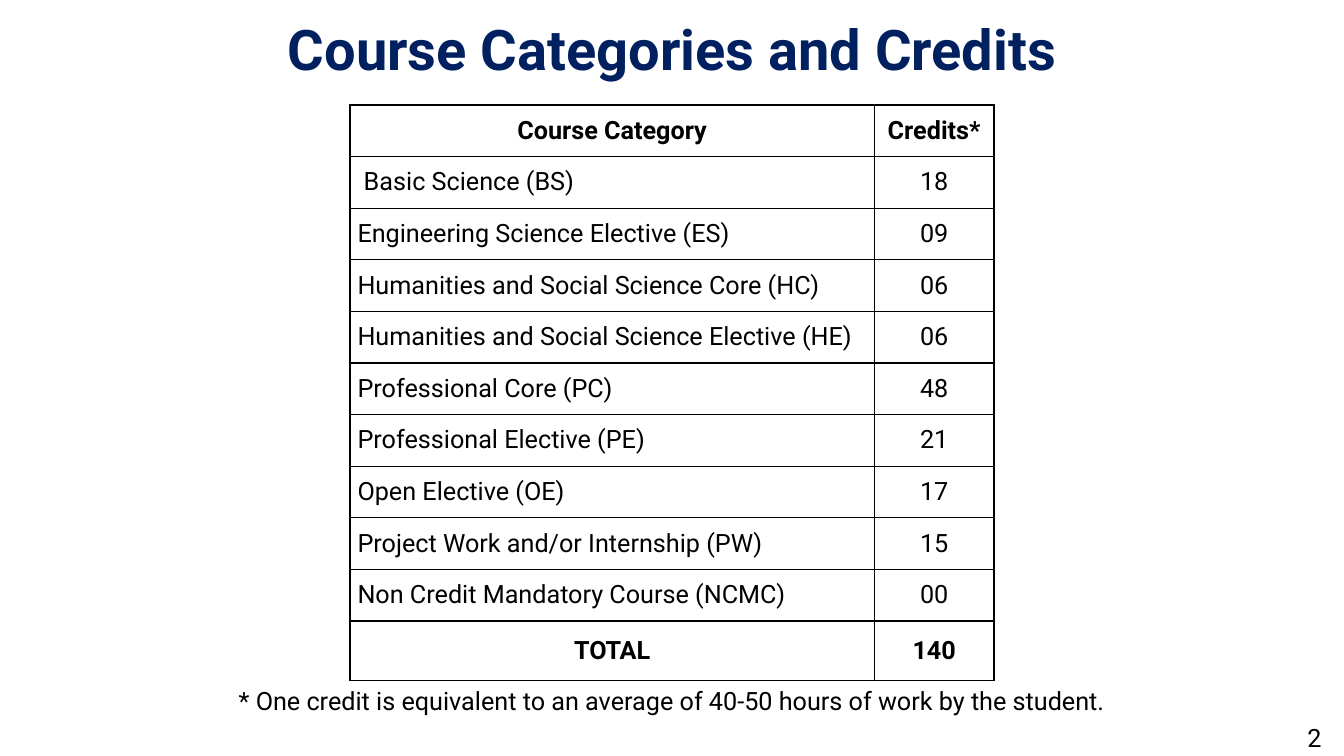
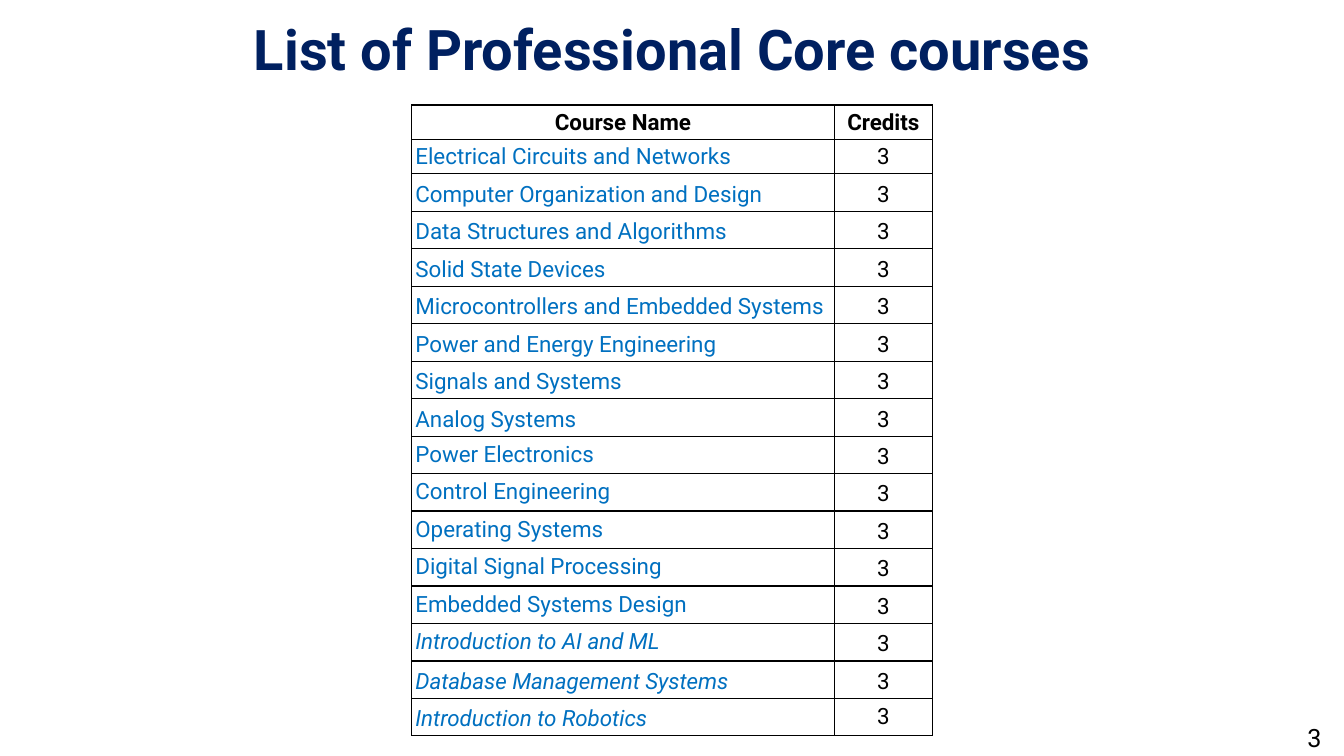
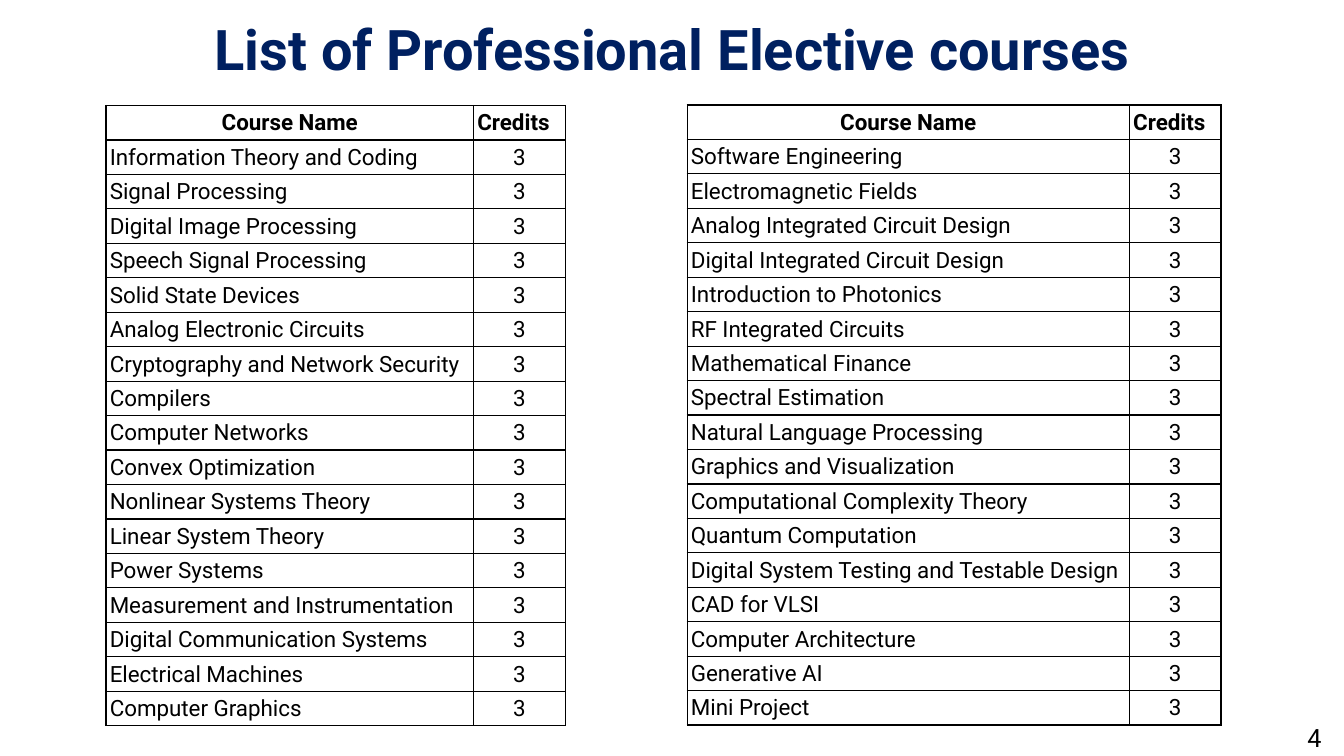
import dataclasses

import pptx
import pptx.dml.color
import pptx.enum.text
import pptx.oxml
import pptx.oxml.ns
import pptx.util

Pt = pptx.util.Pt
Align = pptx.enum.text.PP_ALIGN
Anchor = pptx.enum.text.MSO_ANCHOR


@dataclasses.dataclass(frozen=True)
class Theme:
    font: str = "Roboto"
    title_colour: str = "002060"
    text_colour: str = "000000"
    core_colour: str = "0070C0"
    border_width: float = 1
    title_size: float = 40
    body_size: float = 18
    list_size: float = 16
    page_width: float = 960
    page_height: float = 540
    table_top: float = 75


THEME = Theme()


@dataclasses.dataclass(frozen=True)
class Cell:
    text: str
    align: Align = Align.LEFT
    anchor: Anchor = Anchor.BOTTOM
    bold: bool = False
    italic: bool = False
    colour: str = THEME.text_colour


CATEGORIES = [
    (" Basic Science (BS)", "18"),
    ("Engineering Science Elective (ES)", "09"),
    ("Humanities and Social Science Core (HC)", "06"),
    ("Humanities and Social Science Elective (HE)", "06"),
    ("Professional Core (PC)", "48"),
    ("Professional Elective (PE)", "21"),
    ("Open Elective (OE)", "17"),
    ("Project Work and/or Internship (PW)", "15"),
    ("Non Credit Mandatory Course (NCMC)", "00"),
]

CORE_BOTTOM = [
    "Electrical Circuits and Networks",
    "Computer Organization and Design",
    "Data Structures and Algorithms",
    "Solid State Devices",
    "Microcontrollers and Embedded Systems",
    "Power and Energy Engineering",
    "Signals and Systems",
    "Analog Systems",
]
CORE_MIDDLE = [
    "Power Electronics",
    "Control Engineering",
    "Operating Systems",
    "Digital Signal Processing",
    "Embedded Systems Design",
]
CORE_ITALIC = [
    ("Introduction to AI and ML", Anchor.MIDDLE, Anchor.BOTTOM),
    ("Database Management Systems", Anchor.BOTTOM, Anchor.BOTTOM),
    ("Introduction to Robotics", Anchor.BOTTOM, Anchor.MIDDLE),
]

ELECTIVES_LEFT = [
    "Information Theory and Coding",
    "Signal Processing",
    "Digital Image Processing",
    "Speech Signal Processing",
    "Solid State Devices",
    "Analog Electronic Circuits",
    "Cryptography and Network Security",
    "Compilers",
    "Computer Networks",
    "Convex Optimization",
    "Nonlinear Systems Theory",
    "Linear System Theory",
    "Power Systems",
    "Measurement and Instrumentation",
    "Digital Communication Systems",
    "Electrical Machines",
    "Computer Graphics",
]
ELECTIVES_RIGHT = [
    "Software Engineering",
    "Electromagnetic Fields",
    "Analog Integrated Circuit Design",
    "Digital Integrated Circuit Design",
    "Introduction to Photonics",
    "RF Integrated Circuits",
    "Mathematical Finance",
    "Spectral Estimation",
    "Natural Language Processing",
    "Graphics and Visualization",
    "Computational Complexity Theory",
    "Quantum Computation",
    "Digital System Testing and Testable Design",
    "CAD for VLSI",
    "Computer Architecture",
    "Generative AI",
    "Mini Project",
]


def write(frame, text, size=THEME.body_size, colour=THEME.text_colour, bold=False,
          italic=False, align=Align.LEFT, line_spacing=None):
    para = frame.paragraphs[0]
    para.alignment = align
    if line_spacing:
        para.line_spacing = line_spacing
    span = para.add_run()
    span.text = text
    span.font.name = THEME.font
    span.font.size = Pt(size)
    span.font.bold = bold
    span.font.italic = italic
    span.font.color.rgb = pptx.dml.color.RGBColor.from_string(colour)


def add_text(slide, left, top, width, height, text, **text_format):
    box = slide.shapes.add_textbox(Pt(left), Pt(top), Pt(width), Pt(height))
    box.text_frame.word_wrap = True
    write(box.text_frame, text, **text_format)


def add_page(deck, title, number):
    slide = deck.slides.add_slide(deck.slide_layouts.get_by_name("Title Only"))
    box = slide.shapes.title
    box.left, box.top = Pt(0), Pt(0)
    box.width, box.height = Pt(THEME.page_width), Pt(THEME.table_top)
    frame = box.text_frame
    frame.word_wrap = True
    frame.auto_size = pptx.enum.text.MSO_AUTO_SIZE.NONE
    frame.vertical_anchor = Anchor.MIDDLE
    write(frame, title, size=THEME.title_size, colour=THEME.title_colour, bold=True,
          align=Align.CENTER, line_spacing=0.9)
    add_text(slide, 735, 512.6, 216, 28.8, str(number), align=Align.RIGHT)
    return slide


def set_borders(cell):
    properties = cell._tc.get_or_add_tcPr()
    for position, side in enumerate(("lnL", "lnR", "lnT", "lnB")):
        line = pptx.oxml.parse_xml(
            f'<a:{side} {pptx.oxml.ns.nsdecls("a")} w="{Pt(THEME.border_width)}">'
            f'<a:solidFill><a:srgbClr val="{THEME.text_colour}"/></a:solidFill></a:{side}>'
        )
        properties.insert(position, line)


def add_grid(slide, left, widths, heights, rows, size, margin, top=THEME.table_top):
    table = slide.shapes.add_table(
        len(rows), len(widths), Pt(left), Pt(top), Pt(sum(widths)), Pt(sum(heights))
    ).table
    table.first_row = table.horz_banding = False
    for column, width in zip(table.columns, widths):
        column.width = Pt(width)
    for table_row, height, row in zip(table.rows, heights, rows):
        table_row.height = Pt(height)
        for cell, content in zip(table_row.cells, row):
            cell.margin_left = cell.margin_right = Pt(margin)
            cell.margin_top = cell.margin_bottom = Pt(margin)
            cell.vertical_anchor = content.anchor
            cell.fill.background()
            set_borders(cell)
            write(cell.text_frame, content.text, size=size, colour=content.colour,
                  bold=content.bold, italic=content.italic, align=content.align)


def heading(text, align=Align.CENTER, anchor=Anchor.BOTTOM):
    return Cell(text, align=align, anchor=anchor, bold=True)


def credit(text="3", anchor=Anchor.BOTTOM):
    return Cell(text, align=Align.CENTER, anchor=anchor)


def add_course_list(slide, left, widths, heights, rows, credits_align, **placing):
    header = (heading("Course Name"), heading("Credits", align=credits_align))
    add_grid(slide, left, widths, heights, [header] + rows, THEME.list_size, 2.7, **placing)


def add_categories(deck, number):
    slide = add_page(deck, "Course Categories and Credits", number)
    middle = Anchor.MIDDLE
    rows = [(heading("Course Category", anchor=middle), heading("Credits*", anchor=middle))]
    rows += [(Cell(name, anchor=middle), credit(value, middle)) for name, value in CATEGORIES]
    rows.append((heading("TOTAL", anchor=middle), heading("140", anchor=middle)))
    heights = [36.86] * (len(rows) - 1) + [42.6]
    add_grid(slide, 250, (374.6, 85.4), heights, rows, THEME.body_size, 5.4)
    add_text(slide, 158.4, 486, 643, 28.8,
             "* One credit is equivalent to an average of 40-50 hours of work by the student.",
             align=Align.CENTER)


def add_core(deck, number):
    slide = add_page(deck, "List of Professional Core courses", number)
    colour = THEME.core_colour
    rows = [(Cell(name, colour=colour), credit()) for name in CORE_BOTTOM]
    rows += [(Cell(name, anchor=Anchor.MIDDLE, colour=colour), credit()) for name in CORE_MIDDLE]
    rows += [
        (Cell(name, anchor=name_anchor, italic=True, colour=colour), credit(anchor=credit_anchor))
        for name, name_anchor, credit_anchor in CORE_ITALIC
    ]
    heights = [24.3] * 2 + [26.76] * (len(rows) - 1)
    add_course_list(slide, 294, (302, 70), heights, rows, Align.CENTER)


def add_electives(deck, number):
    slide = add_page(deck, "List of Professional Elective courses", number)
    for names, left, top, name_width in (
        (ELECTIVES_LEFT, 75.7, 75.4, 262.6),
        (ELECTIVES_RIGHT, 490.8, THEME.table_top, 316),
    ):
        rows = [(Cell(name), credit()) for name in names]
        heights = [24.3] * (len(rows) + 1)
        add_course_list(slide, left, (name_width, 65.4), heights, rows, Align.LEFT, top=top)


def main():
    deck = pptx.Presentation()
    deck.slide_width, deck.slide_height = Pt(THEME.page_width), Pt(THEME.page_height)
    for number, add_slide in enumerate((add_categories, add_core, add_electives), start=2):
        add_slide(deck, number)
    deck.save("out.pptx")


if __name__ == "__main__":
    main()
